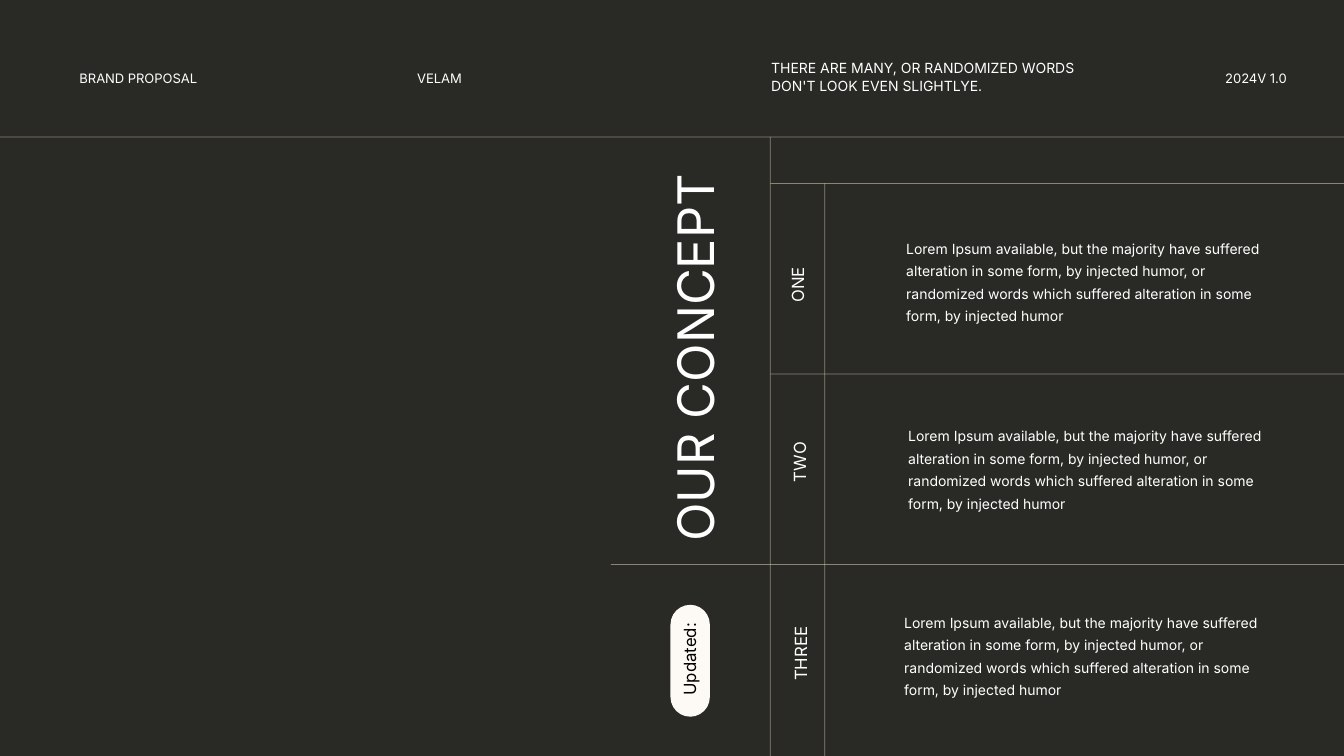
from lxml import etree
from pptx import Presentation
from pptx.dml.color import RGBColor
from pptx.enum.shapes import MSO_CONNECTOR, MSO_SHAPE
from pptx.enum.text import MSO_AUTO_SIZE, PP_ALIGN
from pptx.oxml.ns import qn
from pptx.util import Inches, Pt

STRAIGHT = MSO_CONNECTOR.STRAIGHT
ROUNDED = MSO_SHAPE.ROUNDED_RECTANGLE
GROW = MSO_AUTO_SIZE.SHAPE_TO_FIT_TEXT
LEFT, CENTER, RIGHT = PP_ALIGN.LEFT, PP_ALIGN.CENTER, PP_ALIGN.RIGHT

WIDTH, HEIGHT = 13.33, 7.5
UPWARD = 270
BODY = (
    "Lorem Ipsum available, but the majority have suffered alteration in some form, "
    "by injected humor, or randomized words which suffered alteration in some form, "
    "by injected humor"
)


def color(value):
    return RGBColor.from_string(value)


class ConceptSlide:
    font = "Inter"
    background = "292A25"
    rule_color = "E7D6BC"
    text_color = "FFFFFF"
    pill_color = "FDFAF5"
    pill_text_color = "000000"

    def __init__(self, presentation):
        self.slide = presentation.slides.add_slide(presentation.slide_layouts[6])
        fill = self.slide.background.fill
        fill.solid()
        fill.fore_color.rgb = color(self.background)

    def rule(self, x1, y1, x2, y2):
        line = self.slide.shapes.add_connector(
            STRAIGHT, Inches(x1), Inches(y1), Inches(x2), Inches(y2)
        )
        line.line.width = Pt(0.5)
        line.line.color.rgb = color(self.rule_color)
        properties = line._element.spPr
        tint = properties.find(".//" + qn("a:srgbClr"))
        etree.SubElement(tint, qn("a:alpha")).set("val", "53000")
        etree.SubElement(properties, qn("a:effectLst"))

    def text(self, content, left, top, width, height, size=10, align=LEFT,
             spacing=None, rotation=0, ink=None, raised=False):
        box = self.slide.shapes.add_textbox(
            Inches(left), Inches(top), Inches(width), Inches(height)
        )
        box.rotation = rotation
        frame = box.text_frame
        frame.word_wrap = True
        frame.auto_size = GROW
        paragraph = frame.paragraphs[0]
        paragraph.alignment = align
        if spacing:
            paragraph.line_spacing = Pt(spacing)
        run = paragraph.add_run()
        run.text = content
        run.font.name = self.font
        run.font.size = Pt(size)
        run.font.color.rgb = color(ink or self.text_color)
        if raised:
            run.font._element.set("baseline", "30000")

    def pill(self, left, top, width, height):
        shape = self.slide.shapes.add_shape(
            ROUNDED, Inches(left), Inches(top), Inches(width), Inches(height)
        )
        shape.adjustments[0] = 0.5
        shape.rotation = UPWARD
        shape.shadow.inherit = False
        shape.fill.solid()
        shape.fill.fore_color.rgb = color(self.pill_color)
        shape.line.fill.background()


def main():
    presentation = Presentation()
    presentation.slide_width = Inches(WIDTH)
    presentation.slide_height = Inches(HEIGHT)
    concept = ConceptSlide(presentation)

    header_y, grid_top, row_height = 1.36, 1.82, 1.89
    grid_left, label_right = 7.64, 8.18
    concept.rule(label_right, grid_top, label_right, HEIGHT)
    concept.rule(grid_left, header_y, grid_left, HEIGHT)
    concept.rule(0, header_y, WIDTH, header_y)
    for row, start in enumerate((grid_left, grid_left, 6.06)):
        y = grid_top + row * row_height
        concept.rule(start, y, WIDTH, y)

    for content, left, width, align in (
        ("BRAND PROPOSAL", 0.69, 1.83, LEFT),
        ("VELAM", 4.04, 1.83, LEFT),
        ("2024V 1.0", 11.82, 1.04, RIGHT),
    ):
        concept.text(content, left, 0.62, width, 0.28, size=16, align=align, raised=True)
    concept.text("THERE ARE MANY, OR RANDOMIZED WORDS DON'T LOOK EVEN SLIGHTLYE.",
                 7.55, 0.53, 3.38, 0.45, spacing=13)

    for label, left, top, width, body_left, body_top in (
        ("ONE", 7.58, 2.67, 0.64, 8.89, 2.28),
        ("TWO", 7.6, 4.43, 0.64, 8.91, 4.14),
        ("THREE", 7.49, 6.33, 0.87, 8.87, 5.99),
    ):
        concept.text(label, left, top, width, 0.31, size=12, align=CENTER,
                     spacing=16, rotation=UPWARD)
        concept.text(BODY, body_left, body_top, 3.84, 0.98, spacing=16)

    concept.text("OUR CONCEPT", 4.77, 3.15, 4.01, 0.8, size=36, align=CENTER,
                 spacing=55, rotation=UPWARD)
    concept.pill(6.29, 6.36, 1.11, 0.39)
    concept.text("Updated:", 6.35, 6.39, 0.99, 0.3, size=12, align=CENTER,
                 rotation=UPWARD, ink=concept.pill_text_color)

    presentation.save("out.pptx")


if __name__ == "__main__":
    main()
